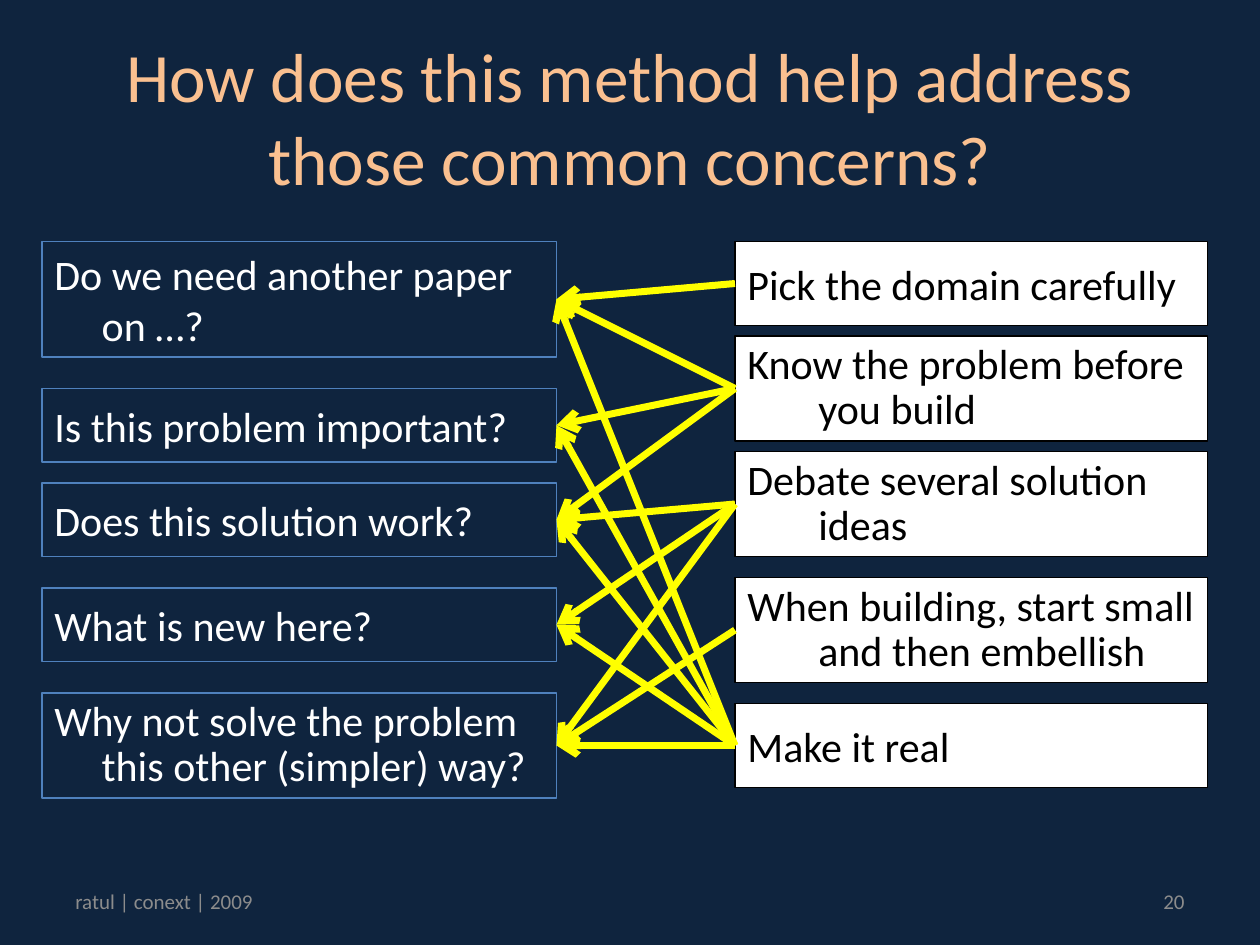
"""Build a slide that links method steps to the concerns they address."""
from pptx import Presentation
from pptx.dml.color import RGBColor
from pptx.enum.shapes import MSO_CONNECTOR as Conn, MSO_SHAPE as Kind
from pptx.enum.text import MSO_ANCHOR as Anchor, MSO_AUTO_SIZE as Fit, PP_ALIGN as Align
from pptx.oxml.ns import qn
from pptx.util import Pt
from lxml.etree import SubElement

NAVY = RGBColor(0x0F, 0x24, 0x3E)
PEACH = RGBColor(0xFA, 0xC0, 0x90)
GRAY = RGBColor(0x8C, 0x8C, 0x8C)
BLUE = RGBColor(0x4F, 0x81, 0xBD)
YELLOW = RGBColor(0xFF, 0xFF, 0x00)
WHITE = RGBColor(0xFF, 0xFF, 0xFF)
BLACK = RGBColor(0, 0, 0)


def write(shape, text, size, color, align=Align.LEFT):
    frame = shape.text_frame
    frame.text = text
    frame.word_wrap = True
    frame.auto_size = Fit.NONE
    frame.vertical_anchor = Anchor.MIDDLE
    para = frame.paragraphs[0]
    para.alignment = align
    para.font.name = "Calibri"
    para.font.size = Pt(size)
    para.font.color.rgb = color
    return para


def stack(left, width, indent, rows, fill, edge, ink):
    boxes = []
    for top, high, text in rows:
        box = slide.shapes.add_shape(Kind.RECTANGLE, Pt(left), Pt(top), Pt(width), Pt(high))
        box.shadow.inherit = False
        if fill is None:
            box.fill.background()
        else:
            box.fill.solid()
            box.fill.fore_color.rgb = fill
        box.line.color.rgb = edge
        box.line.width = Pt(0.75)
        para = write(box, text, 24, ink)
        para.space_before = Pt(4.8)
        if high == 60:
            para.line_spacing = 0.9
        props = para._p.get_or_add_pPr()
        props.set("marL", str(Pt(indent)))
        props.set("indent", str(-Pt(indent)))
        boxes.append(box)
    return boxes


deck = Presentation()
deck.slide_width, deck.slide_height = Pt(720), Pt(540)
slide = deck.slides.add_slide(deck.slide_layouts[5])
slide.background.fill.solid()
slide.background.fill.fore_color.rgb = NAVY

title = slide.shapes.title
title.left, title.top, title.width, title.height = Pt(36), Pt(21.6), Pt(648), Pt(90)
write(title, "How does this method help address those common concerns?", 39.6, PEACH, Align.CENTER)

for left, width, text, align in [
    (36, 222, "ratul | conext | 2009", Align.LEFT),
    (516, 168, "20", Align.RIGHT),
]:
    note = slide.shapes.add_textbox(Pt(left), Pt(500.5), Pt(width), Pt(28.75))
    write(note, text, 12, GRAY, align)

concerns = stack(24, 294, 27, [
    (138, 66, "Do we need another paper on …?"),
    (222, 42, "Is this problem important?"),
    (276, 42, "Does this solution work?"),
    (336, 42, "What is new here?"),
    (396, 60, "Why not solve the problem this other (simpler) way?"),
], None, BLUE, WHITE)

steps = stack(420, 270, 40.5, [
    (138, 48, "Pick the domain carefully"),
    (192, 60, "Know the problem before you build"),
    (258, 60, "Debate several solution ideas"),
    (330, 60, "When building, start small and then embellish"),
    (402, 48, "Make it real"),
], WHITE, BLACK, BLACK)

links = [(0,), (0, 1, 2), (2, 3, 4), (4,), (0, 1, 2, 3, 4)]
for step, goals in zip(steps, links):
    for goal in goals:
        link = slide.shapes.add_connector(Conn.STRAIGHT, 0, 0, 0, 0)
        link.begin_connect(step, 1)
        link.end_connect(concerns[goal], 3)
        link.line.color.rgb = YELLOW
        link.line.width = Pt(4)
        SubElement(link.line._get_or_add_ln(), qn("a:tailEnd"), type="arrow")
        SubElement(link._element.spPr, qn("a:effectLst"))

deck.save("out.pptx")
